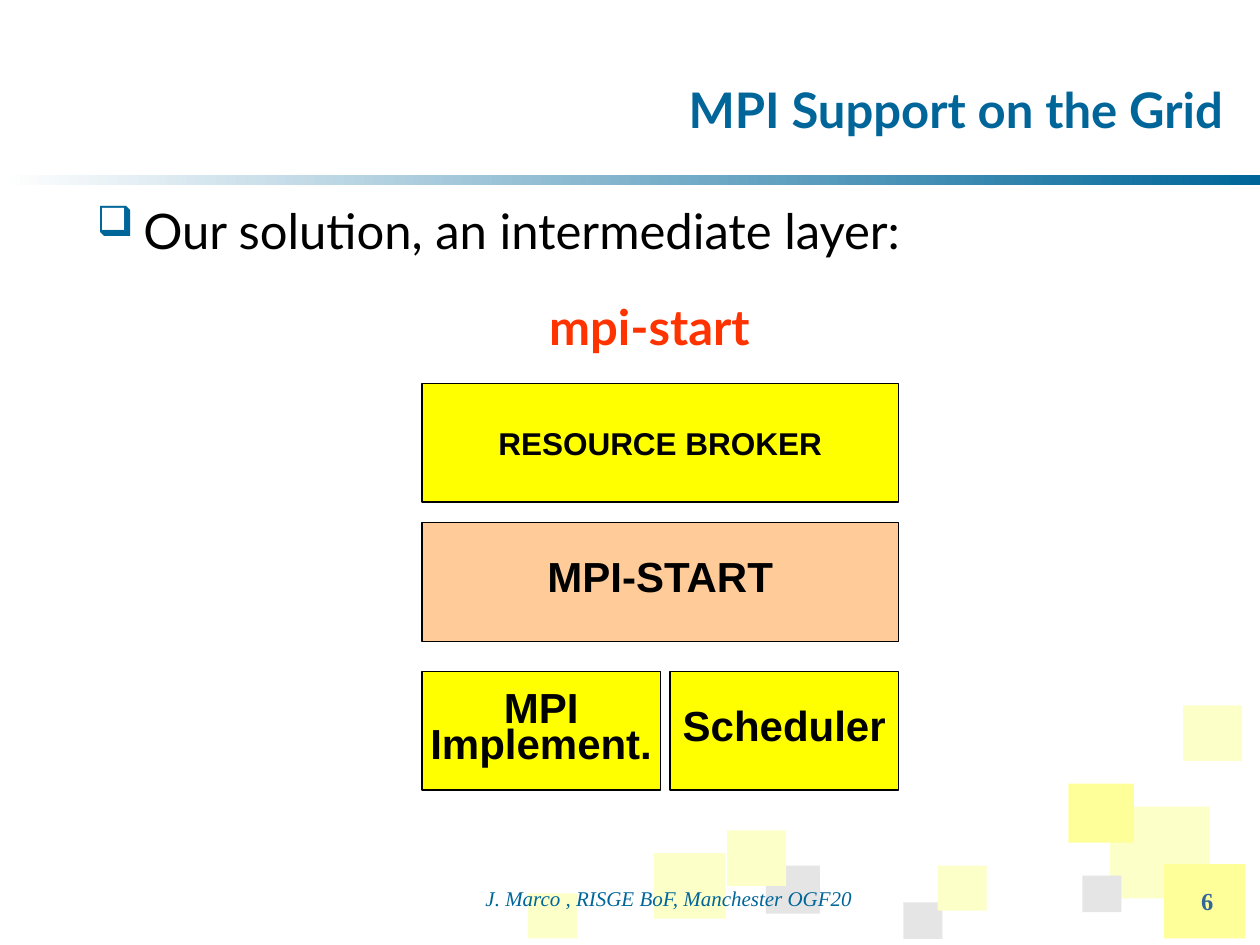
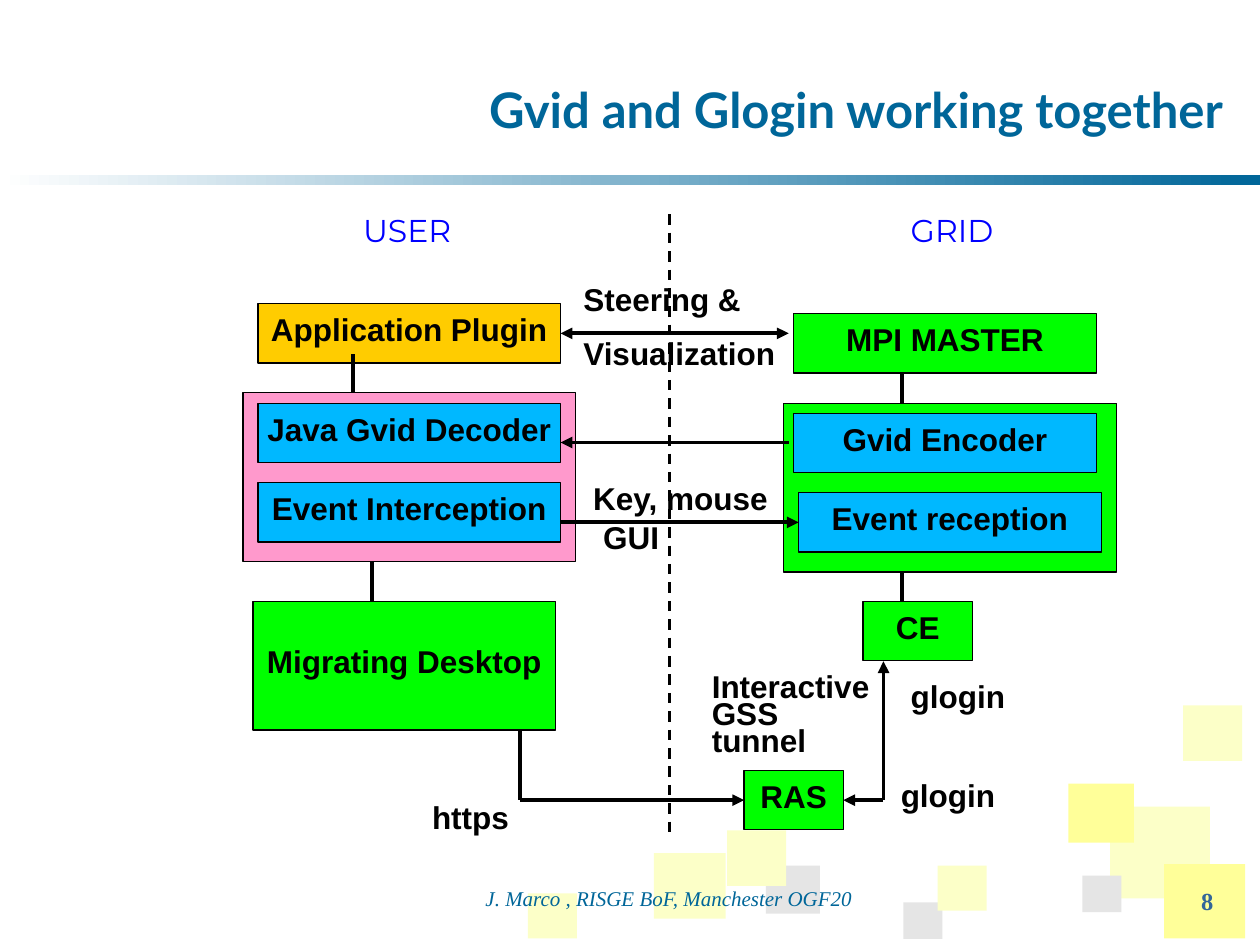
from lxml import etree
from pptx import Presentation
from pptx.dml.color import RGBColor as Rgb
from pptx.enum.dml import MSO_LINE as Dash
from pptx.enum.shapes import MSO_CONNECTOR as Conn, MSO_SHAPE as Form
from pptx.enum.text import MSO_ANCHOR as Anchor, PP_ALIGN as Align
from pptx.oxml.ns import qn
from pptx.util import Cm, Pt

HUES = {
    "white": "FFFFFF", "black": "000000", "teal": "006699", "steel": "336699",
    "cream": "FCFFC8", "grey": "E5E5E5", "pale": "FFFF99", "yellow": "FFFF00",
    "peach": "FFCC99", "red": "FF3300", "amber": "FFCC00", "pink": "FF99CC",
    "sky": "00B8FF", "green": "00FF00", "blue": "0000FF",
}
HUES = {name: Rgb.from_string(code) for name, code in HUES.items()}


def put(page, spot, text="", fill=None, item=None, edge=True, size=18,
        font="Arial", hue="black", bold=True, slant=False, align=Align.CENTER,
        anchor=Anchor.MIDDLE, wrap=False, lead=0.71, gap=0):
    """Place a filled box, a text box or a given placeholder, and format it."""
    spot = [Cm(n) for n in spot]
    if fill:
        item = page.shapes.add_shape(Form.RECTANGLE, *spot)
        item.shadow.inherit = False
        item.fill.solid()
        item.fill.fore_color.rgb = HUES[fill]
        if edge:
            item.line.color.rgb = HUES["black"]
            item.line.width = Pt(0.75)
        else:
            item.line.fill.background()
    elif item is None:
        item = page.shapes.add_textbox(*spot)
    item.left, item.top, item.width, item.height = spot
    if not text:
        return item
    frame = item.text_frame
    frame.text = text
    frame.word_wrap = wrap
    frame.vertical_anchor = anchor
    for i, para in enumerate(frame.paragraphs):
        para.alignment = align
        para.line_spacing = lead
        if i and gap:
            para.space_before = Pt(gap)
        for run in para.runs:
            face = run.font
            face.name, face.size = font, Pt(size)
            face.bold, face.italic = bold, slant
            face.color.rgb = HUES[hue]
    return item


def link(page, start, end, tips="", width=2.25):
    """Draw a line; a start or end is a point or a (shape, side) pair."""
    points = [(0, 0) if hasattr(p[0], "shape_id") else p for p in (start, end)]
    line = page.shapes.add_connector(
        Conn.STRAIGHT, *[Cm(n) for point in points for n in point])
    for join, goal in ((line.begin_connect, start), (line.end_connect, end)):
        if hasattr(goal[0], "shape_id"):
            join(*goal)
    line.line.color.rgb = HUES["black"]
    line.line.width = Pt(width)
    props = line._element.spPr
    for tip in ("headEnd", "tailEnd"):
        if tip in tips:
            etree.SubElement(props.find(qn("a:ln")), qn("a:" + tip), type="triangle")
    etree.SubElement(props, qn("a:effectLst"))
    return line


deck = Presentation()
deck.slide_width, deck.slide_height = Cm(25.4), Cm(19.05)

# Shared look: squares, gradient band, title, footer, number
TILES = [
    (10.64, 18.01, 0.99, 0.91, "cream"), (15.44, 17.45, 1.09, 0.97, "grey"),
    (22.38, 16.26, 2.01, 1.85, "cream"), (23.47, 17.42, 1.63, 1.5, "pale"),
    (21.54, 15.8, 1.32, 1.19, "pale"), (14.66, 16.74, 1.19, 1.12, "cream"),
    (13.18, 17.2, 1.45, 1.32, "cream"), (18.21, 18.19, 0.79, 0.74, "grey"),
    (23.85, 14.22, 1.19, 1.12, "cream"), (18.9, 17.45, 0.99, 0.91, "cream"),
    (21.82, 17.65, 0.79, 0.74, "grey"),
]
pages = []
for title, number in (("MPI Support on the Grid", "6"),
                      ("Gvid and Glogin working together", "8")):
    page = deck.slides.add_slide(deck.slide_layouts[5])
    pages.append(page)
    for *spot, hue in TILES:
        put(page, spot, fill=hue, edge=False)
    band = put(page, (0, 3.53, 25.4, 0.2), fill="teal", edge=False)
    band.fill.gradient()
    band.fill.gradient_angle = 0
    for stop, hue in zip(band.fill.gradient_stops, ("white", "teal")):
        stop.color.rgb = HUES[hue]
    put(page, (5.11, 0.76, 19.79, 3.15), title, item=page.shapes.title, size=28,
        font="Lato", hue="teal", align=Align.RIGHT, wrap=True)
    foot = dict(font="Times New Roman", anchor=Anchor.TOP, wrap=True, lead=1)
    put(page, (4.29, 17.73, 18.39, 0.99), "J. Marco , RISGE BoF, Manchester OGF20",
        size=12, hue="teal", bold=False, slant=True, **foot)
    put(page, (23.11, 17.73, 1.6, 1.32), number, size=14, hue="steel",
        align=Align.RIGHT, **foot)
stack, flow = pages

# Slide 1: bullet and key word
body = put(stack, (1.7, 4.32, 22.78, 3),
           "Our solution, an intermediate layer:\nmpi-start", size=28, font="Lato",
           bold=False, anchor=Anchor.TOP, wrap=True, lead=0.61, gap=34.5)
lead, key = body.text_frame.paragraphs
lead.alignment = Align.LEFT
props = lead._p.get_or_add_pPr()
props.set("marL", str(Cm(0.94)))
props.set("indent", str(-Cm(0.94)))
tint = etree.SubElement(props, qn("a:buClr"))
etree.SubElement(tint, qn("a:srgbClr"), val=str(HUES["teal"]))
etree.SubElement(props, qn("a:buSzPct"), val="85000")
etree.SubElement(props, qn("a:buChar"), char="❑")
key.runs[0].font.bold = True
key.runs[0].font.color.rgb = HUES["red"]

# Slide 1: layers
put(stack, (8.51, 7.73, 9.6, 2.39), "RESOURCE BROKER", "yellow", lead=1)
for x, y, w, text, hue in (
        (8.51, 10.54, 9.6, "MPI-START", "peach"),
        (8.51, 13.54, 4.8, "MPI\nImplement.", "yellow"),
        (13.51, 13.54, 4.6, "Scheduler", "yellow")):
    put(stack, (x, y, w, 2.39), text, hue, size=24)

# Slide 2: border between user and grid
wall = link(flow, (13.49, 4.32), (13.49, 16.92), width=1.5)
wall.line.dash_style = Dash.DASH

# Slide 2: frames and boxes
put(flow, (4.9, 7.92, 6.71, 3.4), fill="pink")
put(flow, (15.8, 8.13, 6.71, 3.4), fill="green")
box = {}
for x, y, w, h, text, hue in (
        (5.2, 6.12, 6.1, 1.2, "Application Plugin", "amber"),
        (5.2, 8.13, 6.1, 1.2, "Java Gvid Decoder", "sky"),
        (5.2, 9.73, 6.1, 1.2, "Event Interception", "sky"),
        (5.1, 12.12, 6.1, 2.6, "Migrating Desktop", "green"),
        (16, 6.32, 6.1, 1.2, "MPI MASTER", "green"),
        (16, 8.33, 6.1, 1.2, "Gvid Encoder", "sky"),
        (16.1, 9.93, 6.1, 1.2, "Event reception", "sky"),
        (17.4, 12.12, 2.2, 1.2, "CE", "green"),
        (15, 15.53, 2, 1.2, "RAS", "green")):
    box[text] = put(flow, (x, y, w, h), text, hue)

# Slide 2: lines and arrows
ras = box["RAS"]
for start, end, tips in (
        ((7.11, 7.14), (7.11, 7.92), ""),
        ((7.49, 11.33), (7.49, 12.12), ""),
        ((18.19, 8.13), (18.19, 7.52), ""),
        ((18.19, 12.12), (18.19, 11.53), ""),
        ((10.49, 14.72), (10.49, 16.13), ""),
        ((10.49, 16.13), (ras, 1), "tailEnd"),
        ((ras, 3), (17.81, 16.13), "headEnd"),
        ((17.81, 16.13), (17.81, 13.33), "tailEnd"),
        ((box["Application Plugin"], 3), (15.9, 6.72), "headEnd tailEnd"),
        ((15.9, 8.92), (11.3, 8.92), "tailEnd"),
        ((11.3, 10.53), (box["Event reception"], 1), "tailEnd")):
    link(flow, start, end, tips)

# Slide 2: labels
side = dict(align=Align.LEFT, anchor=Anchor.TOP)
for x, y, w, h, text, gap in (
        (8.46, 16.17, 2.06, 0.81, "https", 0),
        (18.11, 13.72, 2.41, 0.81, "glogin", 0),
        (17.91, 15.72, 2.41, 0.81, "glogin", 0),
        (14.1, 13.53, 3.68, 1.88, "Interactive\nGSS\ntunnel", 0),
        (11.71, 9.73, 4.06, 0.81, "Key, mouse", 0),
        (11.91, 10.53, 1.63, 0.81, "GUI", 0),
        (11.51, 5.72, 4.39, 1.88, "Steering &\nVisualization", 15.5)):
    put(flow, (x, y, w, h), text, gap=gap, **side)
for x, text in ((7.07, "USER"), (18.11, "GRID")):
    put(flow, (x, 4.13, 2.8, 1.4), text, font="Montserrat", hue="blue",
        bold=False, lead=1, wrap=True, **side)

deck.save("out.pptx")
